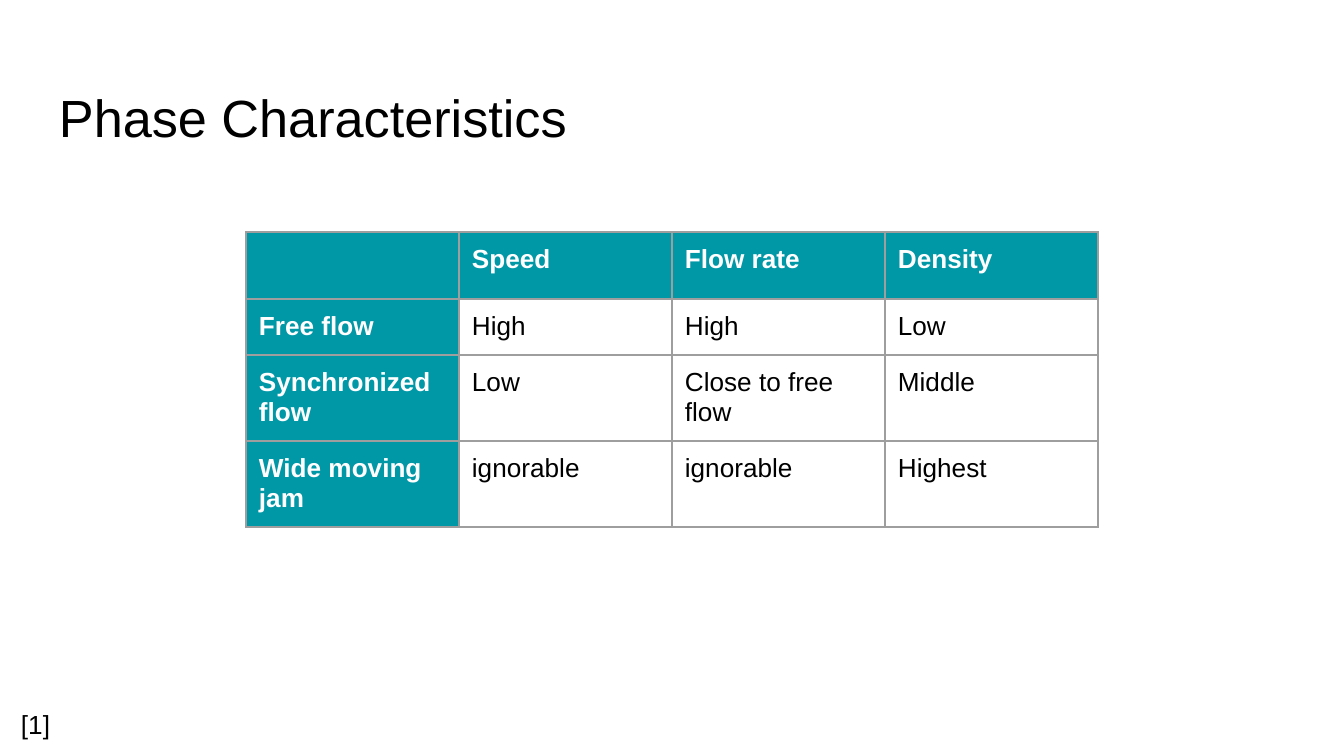
from lxml import etree
from pptx import Presentation
from pptx.dml.color import RGBColor
from pptx.enum.text import MSO_ANCHOR
from pptx.oxml.ns import qn
from pptx.util import Emu, Pt

TOP = MSO_ANCHOR.TOP
WIDTH, HEIGHT = 1344, 756
TEAL, GREY, WHITE, BLACK = "0097A7", "9E9E9E", "FFFFFF", "000000"
INSET = 13
ROWS = [
    ["", "Speed", "Flow rate", "Density"],
    ["Free flow", "High", "High", "Low"],
    ["Synchronized flow", "Low", "Close to free flow", "Middle"],
    ["Wide moving jam", "ignorable", "ignorable", "Highest"],
]
ROW_HEIGHTS = [64, 56, 86, 86]


def px(n):
    return Emu(round(n * 9144000 / WIDTH))


def color(value):
    return RGBColor.from_string(value)


class Deck:
    """Holds the text style and the current slide."""

    def __init__(self, prs, font="Arial"):
        self.font = font
        self.s = prs.slides.add_slide(prs.slide_layouts[6])

    def style(self, tf, size, fill, bold=False):
        for p in tf.paragraphs:
            for r in p.runs:
                r.font.name, r.font.size, r.font.bold = self.font, Pt(size), bold
                r.font.color.rgb = color(fill)

    def margins(self, box, top=INSET, bottom=INSET):
        box.margin_left = box.margin_right = px(INSET)
        box.margin_top, box.margin_bottom = px(top), px(bottom)
        box.vertical_anchor = TOP

    def text(self, x, y, w, h, text, size, top=INSET, bottom=INSET):
        tf = self.s.shapes.add_textbox(px(x), px(y), px(w), px(h)).text_frame
        tf.word_wrap = True
        self.margins(tf, top, bottom)
        tf.text = text
        self.style(tf, size, BLACK)

    def borders(self, cell):
        tcPr = cell._tc.get_or_add_tcPr()
        for i, side in enumerate(("a:lnL", "a:lnR", "a:lnT", "a:lnB")):
            ln = etree.Element(qn(side), w=str(Pt(0.75)))
            fill = etree.SubElement(ln, qn("a:solidFill"))
            etree.SubElement(fill, qn("a:srgbClr"), val=GREY)
            tcPr.insert(i, ln)

    def table(self, x, y, col_width, rows, heights, size):
        cols = len(rows[0])
        frame = self.s.shapes.add_table(
            len(rows), cols, px(x), px(y), px(cols * col_width), px(sum(heights)))
        table = frame.table
        table.horz_banding = False
        for col in table.columns:
            col.width = px(col_width)
        for i, (row, height) in enumerate(zip(rows, heights)):
            table.rows[i].height = px(height)
            for j, text in enumerate(row):
                cell = table.cell(i, j)
                header = i == 0 or j == 0
                cell.text = text
                self.margins(cell)
                self.style(cell.text_frame, size, WHITE if header else BLACK, header)
                if header:
                    cell.fill.solid()
                    cell.fill.fore_color.rgb = color(TEAL)
                else:
                    cell.fill.background()
                self.borders(cell)


def main():
    prs = Presentation()
    prs.slide_width, prs.slide_height = px(WIDTH), px(HEIGHT)
    deck = Deck(prs)
    deck.table(246, 232, 213, ROWS, ROW_HEIGHTS, 14)
    deck.text(46, 66, 1252, 85, "Phase Characteristics", 28, top=19, bottom=5)
    deck.text(8, 695, 82, 50, "[1]", 14)
    prs.save("out.pptx")


if __name__ == "__main__":
    main()
